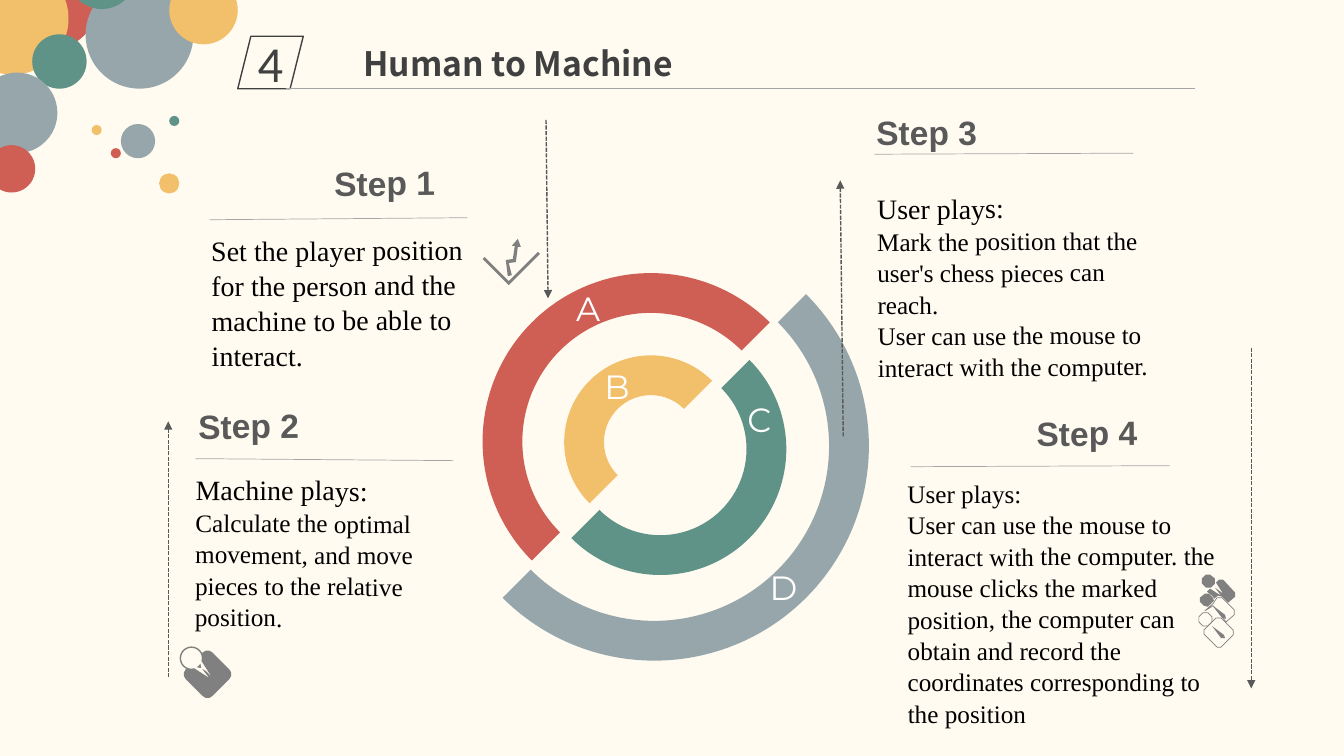
import pptx
import pptx.util
import pptx.dml.color
import pptx.enum.dml
import pptx.enum.shapes
import pptx.enum.text
import pptx.oxml.ns
import lxml.etree

# Grid: 1334 columns by 750 rows of square cells
CELL = pptx.util.Inches(0.01)
RED, GOLD, TEAL, GREY = "CF5F55", "F2C06B", "5F9387", "97A6AB"
CREAM, INK, MID, ICON, PALE = "FFFBF0", "404040", "595959", "808080", "A6A6A6"
KIND = pptx.enum.shapes.MSO_SHAPE
ALIGN = pptx.enum.text.PP_ALIGN
MIDDLE = pptx.enum.text.MSO_ANCHOR.MIDDLE

deck = pptx.Presentation()
deck.slide_width, deck.slide_height = 1334 * CELL, 750 * CELL
slide = deck.slides.add_slide(deck.slide_layouts[6])
shapes = slide.shapes


def paint(fill, hue):
    if hue is None:
        fill.background()
    else:
        fill.solid()
        fill.fore_color.rgb = pptx.dml.color.RGBColor.from_string(hue)


def text(box, lines, sizes, font, hue, bold=False, wrap=False, gap=None,
         align=ALIGN.LEFT, turn=0):
    box.rotation = turn
    frame = box.text_frame
    frame.word_wrap = wrap
    for i, line in enumerate(lines):
        para = frame.paragraphs[0] if i == 0 else frame.add_paragraph()
        para.alignment = align
        if gap:
            para.line_spacing = gap
        run = para.add_run()
        run.text = line
        run.font.size = pptx.util.Pt(sizes[min(i, len(sizes) - 1)])
        run.font.name, run.font.bold = font, bold
        paint(run.font.fill, hue)


paint(slide.background.fill, CREAM)

# Corner bubbles: left, top, size, colour
for left, top, size, hue in [
    (4, -44, 93, RED), (-43, -37, 111, GOLD), (32, 34, 54, TEAL),
    (-23, 72, 80, GREY), (85, -19, 107, GREY), (67, -59, 68, TEAL),
    (-12, 144, 47, RED), (120, 123, 34, GREY), (110, 147, 10, RED),
    (91, 124, 10, GOLD), (168, 115, 10, TEAL), (158, 172, 20, GOLD),
    (168, -24, 68, GOLD),
]:
    dot = shapes.add_shape(KIND.OVAL, left * CELL, top * CELL, size * CELL, size * CELL)
    dot.shadow.inherit = False
    paint(dot.fill, hue)
    paint(dot.line.fill, None)

# Heading
badge = shapes.add_shape(KIND.PARALLELOGRAM, 236 * CELL, 36 * CELL, 65 * CELL, 52 * CELL)
badge.shadow.inherit = False
paint(badge.fill, None)
paint(badge.line.fill, INK)
badge.line.width = pptx.util.Pt(1)
badge.text_frame.vertical_anchor = MIDDLE
text(badge, ["4"], [36], "Calibri", INK, align=ALIGN.CENTER)
title = shapes.add_textbox(351 * CELL, 38 * CELL, 513 * CELL, 50 * CELL)
text(title, ["Human to Machine"], [24], "Noto Sans CJK SC", INK, bold=True, wrap=True)

# Half rings: centre, radius, start angle, colour, letter and its corner
BAND = 39.5
for x, y, radius, start, hue, mark, left, top in [
    (649.5, 442.5, 213, 315, GREY, "D", 754, 558),
    (646, 438, 167, 135, RED, "A", 562, 281),
    (646, 438.5, 86, 135, GOLD, "B", 590, 358),
    (655.5, 445.5, 125, 315, TEAL, "C", 732, 391),
]:
    ring = shapes.add_shape(KIND.BLOCK_ARC, int((x - radius) * CELL),
                            int((y - radius) * CELL), 2 * radius * CELL, 2 * radius * CELL)
    ring.adjustments[0] = start * 0.6
    ring.adjustments[1] = (start + 180) % 360 * 0.6
    ring.adjustments[2] = BAND / (2 * radius)
    ring.shadow.inherit = False
    paint(ring.fill, hue)
    paint(ring.line.fill, None)
    label = shapes.add_textbox(left * CELL, top * CELL, 46 * CELL, 50 * CELL)
    text(label, [mark], [24], "Montserrat", "FFFFFF")

# Rules, then dashed arrows: from, to, arrow or not
for x1, y1, x2, y2, arrow in [
    (284, 88, 1186, 88, False), (208, 218, 464, 216, False),
    (194, 455, 450, 457, False), (868, 153, 1125, 152, False),
    (904, 463, 1161, 462, False),
    (542, 119, 544, 296, True), (167, 672, 167, 418, True),
    (837, 433, 834, 179, True), (1242, 345, 1242, 683, True),
]:
    rule = shapes.add_connector(pptx.enum.shapes.MSO_CONNECTOR.STRAIGHT,
                                x1 * CELL, y1 * CELL, x2 * CELL, y2 * CELL)
    paint(rule.line.fill, MID if arrow else PALE)
    rule.line.width = pptx.util.Pt(1 if arrow else 0.5)
    props = rule._element.spPr
    if arrow:
        rule.line.dash_style = pptx.enum.dml.MSO_LINE.SQUARE_DOT
        stroke = props.find(pptx.oxml.ns.qn("a:ln"))
        lxml.etree.SubElement(stroke, pptx.oxml.ns.qn("a:tailEnd"), type="triangle")
    lxml.etree.SubElement(props, pptx.oxml.ns.qn("a:effectLst"))

# Step 2 icon: card and round head
card = shapes.add_shape(KIND.ROUNDED_RECTANGLE, 188 * CELL, 651 * CELL, 36 * CELL, 36 * CELL)
card.rotation = 45
head = shapes.add_shape(KIND.OVAL, 179 * CELL, 642 * CELL, 22 * CELL, 22 * CELL)
for part, hue in [(card, ICON), (head, CREAM)]:
    part.shadow.inherit = False
    paint(part.fill, hue)
    paint(part.line.fill, ICON)
    part.line.width = pptx.util.Pt(1)

# Icon outlines: fill, edge, corners
for hue, edge, spots in [
    # Step 2 bristles
    (CREAM, None, [(199, 657), (200, 656), (207, 667), (209, 670), (205, 666),
                   (200, 663), (199, 658), (195, 662), (200, 663), (207, 672), (193, 663)]),
    # Step 1 corner and jagged arrow
    (ICON, None, [(505, 279), (481, 255), (479, 257), (505, 283), (536, 252), (534, 250)]),
    (ICON, None, [(505, 261), (512, 260), (514, 245), (517, 245), (514, 237), (508, 244),
                  (511, 244), (509, 257), (502, 258), (504, 274), (508, 273)]),
    # Step 4 solid card and heads
    (ICON, None, [(1210, 575), (1207, 578), (1214, 589), (1206, 583), (1212, 591),
                  (1201, 584), (1198, 587), (1204, 592), (1205, 594), (1209, 591),
                  (1213, 592), (1219, 598), (1226, 592), (1226, 588), (1214, 575)]),
    (ICON, None, [(1197, 570), (1201, 570), (1206, 574), (1206, 579), (1202, 583),
                  (1197, 583), (1193, 579), (1193, 574)]),
    (ICON, None, [(1196, 589), (1200, 589), (1204, 593), (1205, 596), (1199, 602),
                  (1195, 601), (1191, 597), (1191, 593)]),
    # Step 4 open cards and head
    (None, ICON, [(1208, 593), (1213, 593), (1225, 605), (1225, 610), (1217, 617),
                  (1204, 601), (1196, 606), (1204, 599)]),
    (None, ICON, [(1194, 608), (1199, 608), (1203, 612), (1203, 617), (1199, 621),
                  (1194, 621), (1190, 617), (1190, 612)]),
    (None, ICON, [(1207, 613), (1212, 613), (1224, 625), (1224, 630), (1212, 642),
                  (1208, 642), (1195, 629), (1195, 625)]),
    # Step 4 pointers
    (ICON, None, [(1204, 601), (1213, 613), (1217, 614), (1216, 610)]),
    (ICON, None, [(1212, 633), (1216, 633), (1215, 630), (1203, 621)]),
]:
    pen = shapes.build_freeform(*spots[0], scale=float(CELL))
    pen.add_line_segments(spots[1:], close=True)
    icon = pen.convert_to_shape()
    icon.shadow.inherit = False
    paint(icon.fill, hue)
    paint(icon.line.fill, edge)
    if edge:
        icon.line.width = pptx.util.Pt(0.5)

# Step names
for num, (left, top) in enumerate([(322, 178), (187, 419), (860, 128), (1019, 426)], 1):
    name = shapes.add_textbox(left * CELL, top * CELL, 121 * CELL, 31 * CELL)
    text(name, [f"Step {num}"], [24], "Arial", MID, bold=True,
         gap=pptx.util.Pt(13), turn=359.5)

# Step notes: box, tilt, sizes, lines
for left, top, wide, high, turn, sizes, lines in [
    (200, 225, 283, 145, 359.7, [20],
     ["Set the player position for the person and the machine to be able to interact."]),
    (184, 463, 273, 182, 0.3, [20, 18],
     ["Machine plays:",
      "Calculate the optimal movement, and move pieces to the relative position."]),
    (861, 183, 298, 195, 359.7, [20, 18],
     ["User plays:",
      "Mark the position that the user's chess pieces can reach.",
      "User can use the mouse to interact with the computer."]),
    (891, 468, 332, 252, 359.9, [18],
     ["User plays:",
      "User can use the mouse to interact with the computer. the mouse clicks the marked "
      "position, the computer can obtain and record the coordinates corresponding to the "
      "position"]),
]:
    note = shapes.add_textbox(left * CELL, top * CELL, wide * CELL, high * CELL)
    text(note, lines, sizes, "Times New Roman", "000000", wrap=True, gap=1.04, turn=turn)

deck.save("out.pptx")
